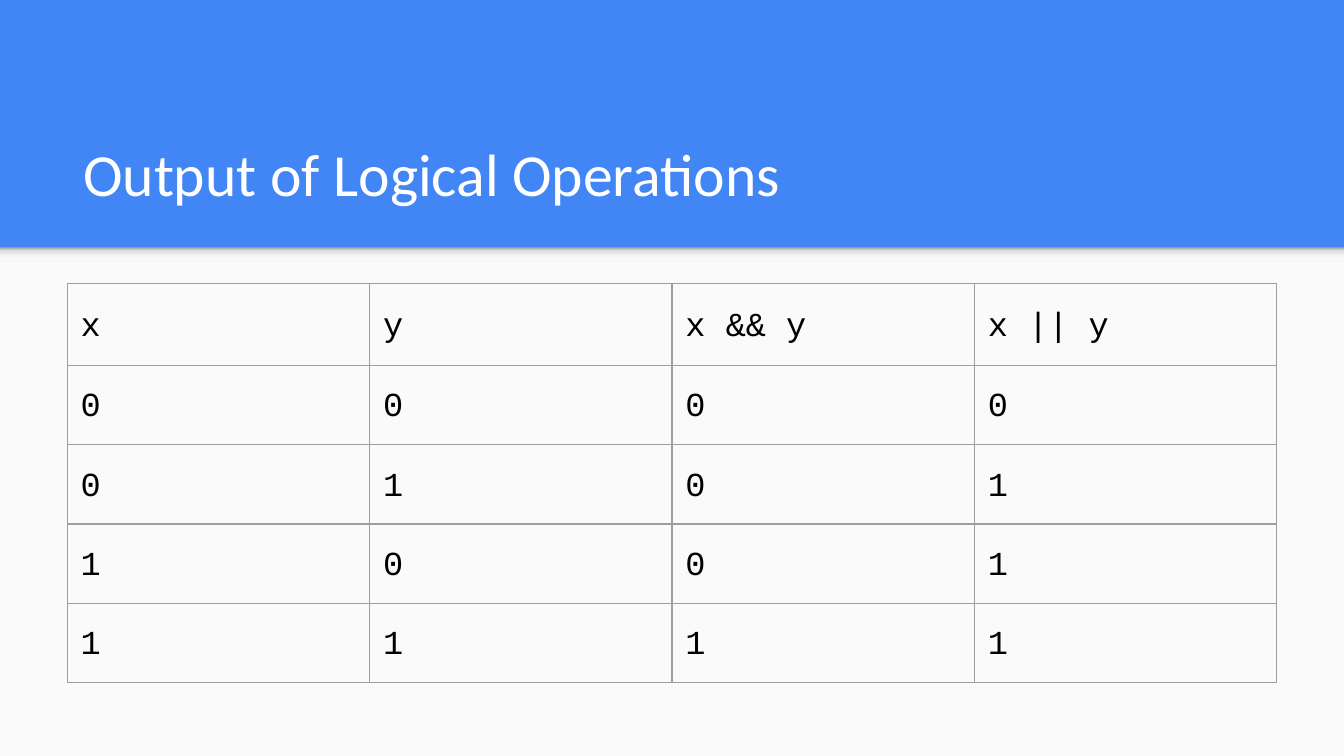
from lxml import etree
from pptx import Presentation
from pptx.dml.color import RGBColor
from pptx.enum.shapes import MSO_SHAPE as Shape
from pptx.enum.text import MSO_ANCHOR as Anchor
from pptx.oxml import parse_xml
from pptx.oxml.ns import nsdecls, qn
from pptx.util import Inches, Pt


def rgb(value):
    return RGBColor.from_string(value)


def write(frame, text, font, size, color, spacing=1.0):
    paragraph = frame.paragraphs[0]
    paragraph.line_spacing = spacing
    run = paragraph.add_run()
    run.text = text
    run.font.name = font
    run.font.size = Pt(size)
    run.font.color.rgb = rgb(color)


# A 16:9 slide
WIDTH = 10
HEIGHT = WIDTH * 9 / 16
deck = Presentation()
deck.slide_width, deck.slide_height = Inches(WIDTH), Inches(HEIGHT)
slide = deck.slides.add_slide(deck.slide_layouts[6])

# Blue header background
slide.background.fill.solid()
slide.background.fill.fore_color.rgb = rgb("4285F4")

# Light body panel and the soft shade along its top edge
HEADER_BOTTOM = 1.84
panel, shade = [
    slide.shapes.add_shape(Shape.RECTANGLE, 0, Inches(HEADER_BOTTOM), Inches(WIDTH), Inches(height))
    for height in (HEIGHT - HEADER_BOTTOM, 0.12)
]
for part in (panel, shade):
    part.shadow.inherit = False
    part.line.fill.background()
panel.fill.solid()
panel.fill.fore_color.rgb = rgb("FAFAFA")

shade.fill.gradient()
shade.fill.gradient_angle = 90
stops = shade._element.spPr.find(qn("a:gradFill")).find(qn("a:gsLst"))
for stop in list(stops):
    stops.remove(stop)
for position, color in ((0, "F9F9F9"), (36, "F9F9F9"), (80, "DEDEDE"), (100, "999999")):
    stop = etree.SubElement(stops, qn("a:gs"), pos=str(position * 1000))
    etree.SubElement(stop, qn("a:srgbClr"), val=color)

# Truth table
rows = [
    ("x", "y", "x && y", "x || y"),
    ("0", "0", "0", "0"),
    ("0", "1", "0", "1"),
    ("1", "0", "0", "1"),
    ("1", "1", "1", "1"),
]
truth_table = slide.shapes.add_table(
    len(rows), len(rows[0]), Inches(0.5), Inches(2.11), Inches(9), Inches(2.97)
).table
truth_table.first_row = False
truth_table.horz_banding = False
for column in truth_table.columns:
    column.width = Inches(2.25)
for row_index, values in enumerate(rows):
    truth_table.rows[row_index].height = Inches(0.59 if row_index else 0.61)
    for column_index, value in enumerate(values):
        cell = truth_table.cell(row_index, column_index)
        cell.margin_left = cell.margin_right = Inches(0.1)
        cell.margin_top = cell.margin_bottom = Inches(0.1)
        cell.vertical_anchor = Anchor.MIDDLE
        write(cell.text_frame, value, "Courier New", 18, "000000", spacing=1.15)
        # Borders go before the fill in the cell properties
        for side in "LRTB":
            cell._tc.get_or_add_tcPr().append(parse_xml(
                f'<a:ln{side} {nsdecls("a")} w="{Pt(0.75)}"><a:solidFill>'
                f'<a:srgbClr val="9E9E9E"/></a:solidFill></a:ln{side}>'
            ))
        cell.fill.background()

# Title
title = slide.shapes.add_textbox(Inches(0.52), Inches(0.81), Inches(8.99), Inches(0.84)).text_frame
title.word_wrap = True
title.vertical_anchor = Anchor.BOTTOM
title.margin_left = title.margin_right = Inches(0.1)
title.margin_top = title.margin_bottom = Inches(0.1)
write(title, "Output of Logical Operations", "Calibri", 32, "FFFFFF")

deck.save("out.pptx")
